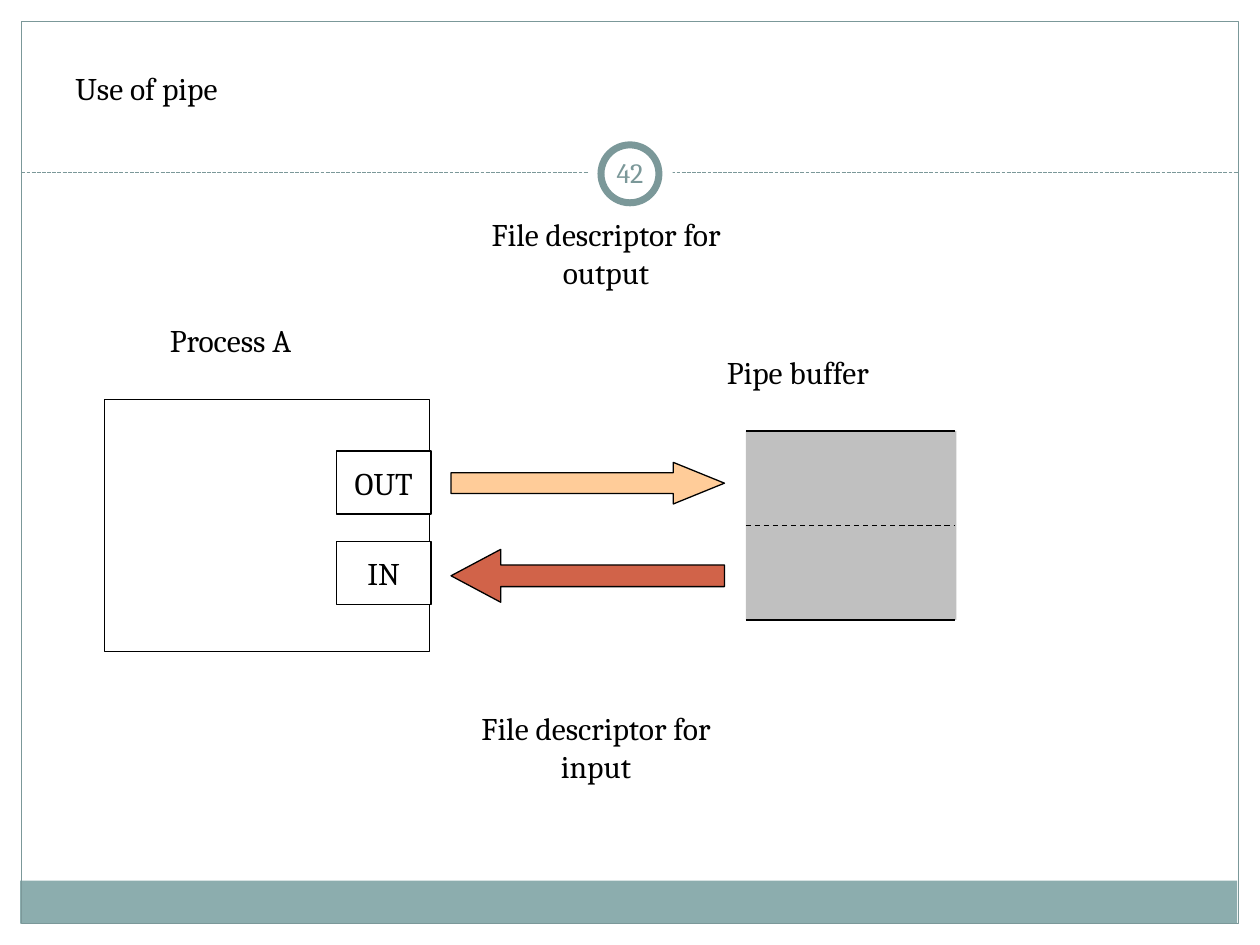
import pptx
import pptx.util
import pptx.dml.color
import pptx.enum.dml
import pptx.enum.shapes
import pptx.enum.text
import lxml.etree
from pptx.util import Inches

RGBColor = pptx.dml.color.RGBColor
KIND = pptx.enum.shapes.MSO_SHAPE
DASH = pptx.enum.dml.MSO_LINE
ALIGN = pptx.enum.text.PP_ALIGN
ANCHOR = pptx.enum.text.MSO_ANCHOR

BLACK = RGBColor(0x00, 0x00, 0x00)
WHITE = RGBColor(0xFF, 0xFF, 0xFF)
TEAL = RGBColor(0x7B, 0x98, 0x99)
BAND = RGBColor(0x8C, 0xAD, 0xAE)
GRAY = RGBColor(0xC0, 0xC0, 0xC0)
PEACH = RGBColor(0xFF, 0xCC, 0x99)
RUST = RGBColor(0xD1, 0x63, 0x49)

deck = pptx.Presentation()
deck.slide_width, deck.slide_height = Inches(10), Inches(7.5)
slide = deck.slides.add_slide(deck.slide_layouts[6])
shapes = slide.shapes


def add_form(kind, box, fill=None, line=None, width=0.75):
    form = shapes.add_shape(kind, *map(Inches, box))
    form.shadow.inherit = False
    if fill is None:
        form.fill.background()
    else:
        form.fill.solid()
        form.fill.fore_color.rgb = fill
    if line is None:
        form.line.fill.background()
    else:
        form.line.color.rgb = line
        form.line.width = pptx.util.Pt(width)
    return form


def add_text(form, text, align=ALIGN.LEFT, anchor=ANCHOR.TOP, size=18,
             color=BLACK, wrap=True):
    frame = form.text_frame
    frame.word_wrap = wrap
    frame.vertical_anchor = anchor
    para = frame.paragraphs[0]
    para.alignment = align
    run = para.add_run()
    run.text = text
    run.font.name = "Cambria"
    run.font.size = pptx.util.Pt(size)
    run.font.color.rgb = color
    return frame


# Page frame and bottom band
add_form(KIND.RECTANGLE, (0.16, 6.99, 9.66, 0.34), BAND)
add_form(KIND.RECTANGLE, (0.17, 0.17, 9.66, 7.16), None, TEAL)

# Process and pipe buffer
add_form(KIND.RECTANGLE, (0.83, 3.17, 2.58, 2), WHITE, BLACK)
add_form(KIND.RECTANGLE, (5.92, 3.42, 1.67, 1.5), GRAY)

# Rules: title divider, then buffer top, middle and bottom
rules = [
    (0.17, 9.83, 1.37, TEAL, DASH.SQUARE_DOT),
    (5.92, 7.58, 3.42, BLACK, None),
    (5.92, 7.58, 4.17, BLACK, DASH.DASH),
    (5.92, 7.58, 4.92, BLACK, None),
]
for left, right, top, color, dash in rules:
    rule = shapes.add_connector(
        pptx.enum.shapes.MSO_CONNECTOR.STRAIGHT,
        Inches(left), Inches(top), Inches(right), Inches(top))
    rule.line.color.rgb = color
    rule.line.width = pptx.util.Pt(0.75)
    if dash is DASH.SQUARE_DOT:
        rule.line.dash_style = dash
        rule.line._ln.prstDash.set("val", "sysDash")
    elif dash:
        rule.line.dash_style = dash
    lxml.etree.SubElement(rule._element.spPr, pptx.oxml.ns.qn("a:effectLst"))

# Slide number badge
add_form(KIND.OVAL, (4.67, 1.05, 0.67, 0.67), WHITE)
add_form(KIND.OVAL, (4.77, 1.15, 0.46, 0.46), WHITE, TEAL, 4)

# Descriptor slots in the process
for top, name in ((3.58, "OUT"), (4.3, "IN")):
    slot = add_form(KIND.RECTANGLE, (2.67, top, 0.75, 0.5), WHITE, BLACK)
    add_text(slot, name, ALIGN.CENTER, ANCHOR.MIDDLE, wrap=False)

# Data flow arrows
flows = [
    (KIND.RIGHT_ARROW, 3.67, 0.33, PEACH, (0.5, 1.23)),
    (KIND.LEFT_ARROW, 4.36, 0.42, RUST, (0.41, 0.94)),
]
for kind, top, height, fill, bends in flows:
    flow = add_form(kind, (3.58, top, 2.17, height), fill, BLACK)
    for spot, bend in enumerate(bends):
        flow.adjustments[spot] = bend

# Title and labels
labels = [
    ("Use of pipe", (0.5, 0.5, 3, 0.4), ALIGN.LEFT),
    ("Pipe buffer", (5.67, 2.75, 2.17, 0.4), ALIGN.LEFT),
    ("Process A", (1.25, 2.5, 1.83, 0.4), ALIGN.LEFT),
    ("File descriptor for input", (3.54, 5.58, 2.38, 0.92), ALIGN.CENTER),
    ("File descriptor for output", (3.62, 1.66, 2.38, 0.92), ALIGN.CENTER),
]
for text, box, align in labels:
    add_text(shapes.add_textbox(*map(Inches, box)), text, align)

# Slide number
badge = shapes.add_textbox(*map(Inches, (4.75, 1.13, 0.5, 0.48)))
frame = add_text(badge, "42", ALIGN.CENTER, ANCHOR.MIDDLE, 16, TEAL)
frame.margin_left = frame.margin_right = Inches(0.05)

deck.save("out.pptx")
